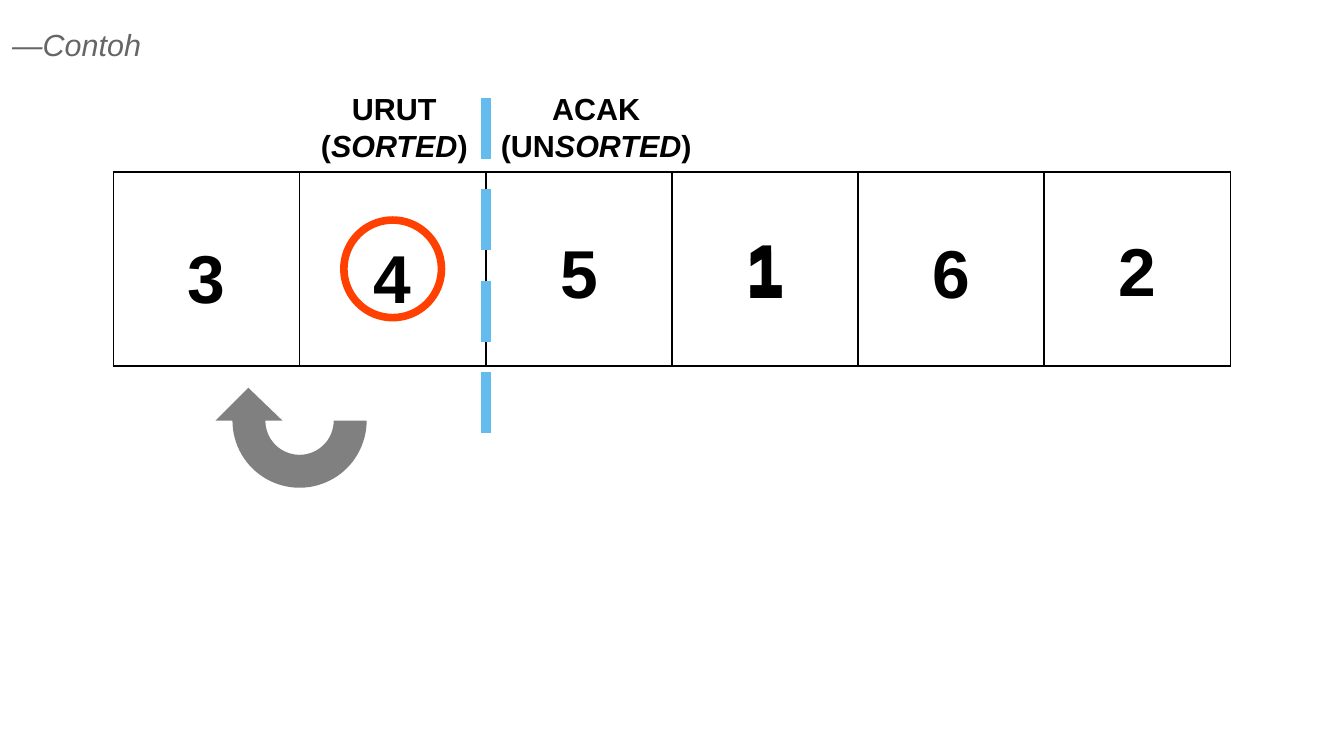
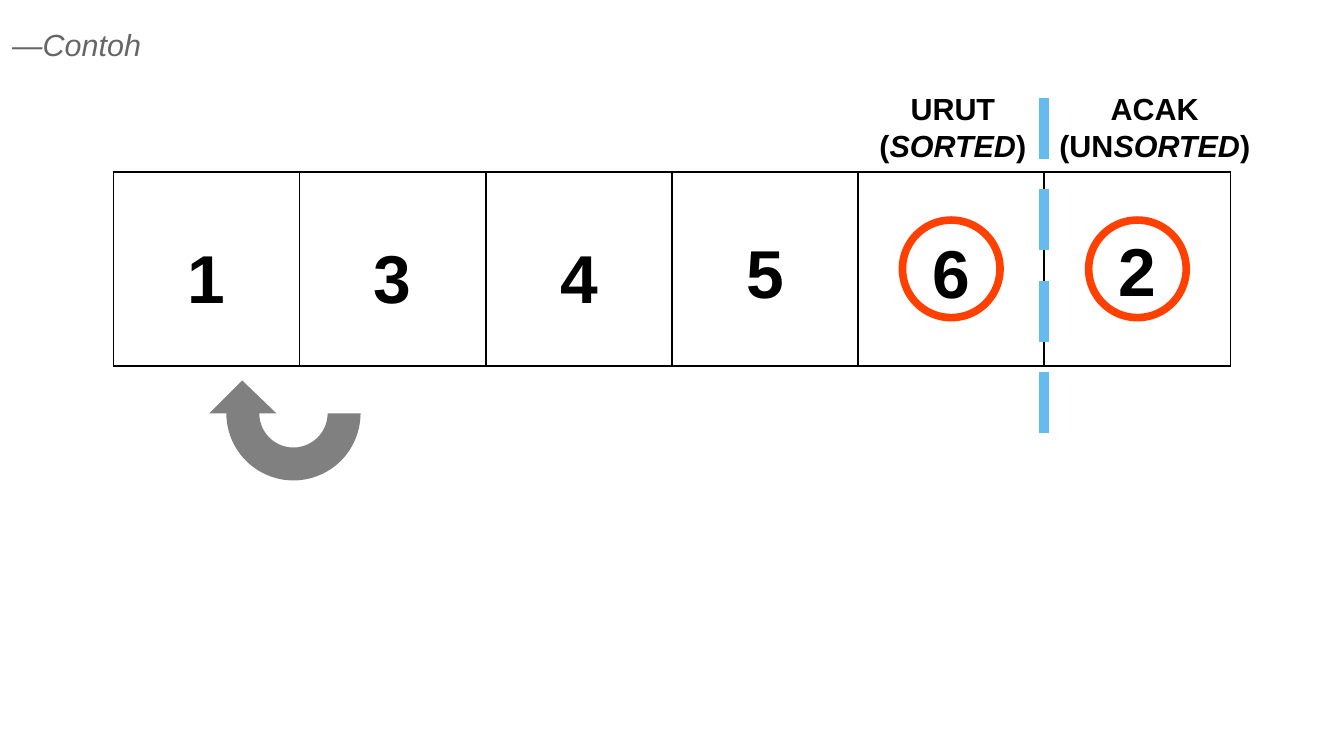
from math import cos, pi, sin

from lxml import etree
from pptx import Presentation
from pptx.dml.color import RGBColor
from pptx.enum import shapes, text
from pptx.oxml import ns
from pptx.util import Inches, Pt

FONT = "Arial"
BLACK = RGBColor(0x00, 0x00, 0x00)
TITLE_GRAY = RGBColor(0x66, 0x66, 0x66)
ARROW_GRAY = RGBColor(0x80, 0x80, 0x80)
DIVIDER_BLUE = RGBColor(0x63, 0xBB, 0xEE)
MARK_ORANGE = RGBColor(0xFF, 0x40, 0x00)

SLIDE_W, SLIDE_H = 11.02, 6.2
COLUMNS = 6
ROW_X, ROW_Y, ROW_W, ROW_H = 0.93, 1.41, 9.16, 1.59
CELL_W = ROW_W / COLUMNS
ROW_MID = ROW_Y + ROW_H / 2
LABEL_Y, LABEL_H = 0.69, 0.94


def edge(column):
    """Return the x of the left edge of a column."""
    return ROW_X + column * CELL_W


def center(column):
    return edge(column + 0.5)


def add_xml(parent, tag, **attributes):
    return etree.SubElement(parent, ns.qn(tag), attributes)


def style_run(r, size, color=BLACK, bold=False, italic=False):
    r.font.name, r.font.size = FONT, Pt(size)
    r.font.bold, r.font.italic = bold, italic
    r.font.color.rgb = color


def add_label(slide, x, y, w, h, lines, size):
    """Add bold centred lines, each a list of (words, italic) pairs."""
    sp = slide.shapes.add_textbox(Inches(x), Inches(y), Inches(w), Inches(h))
    tf = sp.text_frame
    tf.word_wrap = True
    for i, line in enumerate(lines):
        p = tf.add_paragraph() if i else tf.paragraphs[0]
        p.alignment = text.PP_ALIGN.CENTER
        for words, italic in line:
            r = p.add_run()
            r.text = words
            style_run(r, size, bold=True, italic=italic)


def set_title(slide, words):
    sp = slide.shapes.title
    sp.left, sp.top = Inches(0), Inches(0.16)
    sp.width, sp.height = Inches(3.1), Inches(0.4)
    tf = sp.text_frame
    tf.text = words
    tf.vertical_anchor = text.MSO_ANCHOR.TOP
    tf.auto_size = text.MSO_AUTO_SIZE.NONE
    p = tf.paragraphs[0]
    p.alignment = text.PP_ALIGN.LEFT
    style_run(p.runs[0], 18, TITLE_GRAY, italic=True)


def border_cell(cell):
    tc_pr = cell._tc.get_or_add_tcPr()
    for side in ("a:lnL", "a:lnR", "a:lnT", "a:lnB"):
        line = add_xml(tc_pr, side, w=str(Pt(1.13)))
        fill = add_xml(line, "a:solidFill")
        add_xml(fill, "a:srgbClr", val=str(BLACK))
    cell.fill.background()


def add_array(slide, cell_texts):
    """Add the one-row table; cell_texts maps a column to its text."""
    frame = slide.shapes.add_table(1, COLUMNS, Inches(ROW_X), Inches(ROW_Y),
                                   Inches(ROW_W), Inches(ROW_H))
    table = frame.table
    table.first_row = table.horz_banding = False
    for column in range(COLUMNS):
        table.columns[column].width = Inches(CELL_W)
        cell = table.cell(0, column)
        border_cell(cell)
        if column in cell_texts:
            cell.vertical_anchor = text.MSO_ANCHOR.MIDDLE
            p = cell.text_frame.paragraphs[0]
            p.text = cell_texts[column]
            p.alignment = text.PP_ALIGN.CENTER
            style_run(p.runs[0], 40, bold=True)


def add_divider(slide, column):
    """Part sorted from unsorted cells with a dashed line and two labels."""
    x = edge(column)
    line = slide.shapes.add_connector(shapes.MSO_CONNECTOR.STRAIGHT,
                                      Inches(x), Inches(0.8),
                                      Inches(x), Inches(3.76))
    line.line.color.rgb = DIVIDER_BLUE
    line.line.width = Pt(6)
    dashes = add_xml(line.line._get_or_add_ln(), "a:custDash")
    add_xml(dashes, "a:ds", d="600000", sp="300000")
    add_xml(line._element.spPr, "a:effectLst")
    for left, width, name, prefix in ((x - 1.58, 1.66, "URUT", "("),
                                      (x - 0.04, 1.89, "ACAK", "(UN")):
        lines = [[(name, False)],
                 [(prefix, False), ("SORTED", True), (")", False)]]
        add_label(slide, left, LABEL_Y, width, LABEL_H, lines, 18)


def add_digits(slide, digits, drops):
    """Put one digit in each column, lowered by its drop."""
    w, h = 0.8, 0.72
    for column, (digit, drop) in enumerate(zip(digits, drops)):
        add_label(slide, center(column) - w / 2, ROW_MID - h / 2 + drop,
                  w, h, [[(digit, False)]], 40)


def add_swap_arrow(slide, cx, cy):
    """Draw a half ring below (cx, cy) with an arrowhead on its left end."""
    outer, inner, steps = 0.55, 0.28, 48
    angles = [pi * i / steps for i in range(steps + 1)]
    points = [(-inner * cos(a), inner * sin(a)) for a in angles]
    points += [(outer * cos(a), outer * sin(a)) for a in angles]
    points += [(-0.69, 0), (-0.42, -0.27), (-0.14, 0)]
    outline = [(Inches(cx + x), Inches(cy + y)) for x, y in points]
    builder = slide.shapes.build_freeform(*outline[0])
    builder.add_line_segments(outline[1:], close=True)
    sp = builder.convert_to_shape()
    sp.shadow.inherit = False
    sp.fill.solid()
    sp.fill.fore_color.rgb = ARROW_GRAY
    sp.line.fill.background()


def add_mark(slide, column):
    size = 0.8
    sp = slide.shapes.add_shape(shapes.MSO_SHAPE.OVAL,
                                Inches(center(column) - size / 2),
                                Inches(ROW_MID - size / 2),
                                Inches(size), Inches(size))
    sp.shadow.inherit = False
    sp.fill.background()
    sp.line.color.rgb = MARK_ORANGE
    sp.line.width = Pt(4.5)


def add_step(prs, digits, drops, sorted_count, marked, arrow_shift,
             cell_texts):
    """Add a slide for one step of the insertion sort."""
    slide = prs.slides.add_slide(prs.slide_layouts[5])
    set_title(slide, "—Contoh")
    add_array(slide, cell_texts)
    add_divider(slide, sorted_count)
    add_digits(slide, digits, drops)
    dx, dy = arrow_shift
    add_swap_arrow(slide, edge(1) + dx, ROW_Y + ROW_H + dy)
    for column in marked:
        add_mark(slide, column)


def main():
    prs = Presentation()
    prs.slide_width, prs.slide_height = Inches(SLIDE_W), Inches(SLIDE_H)
    add_step(prs, "345162", (0.04, 0.04, 0, 0, 0, -0.02), sorted_count=2,
             marked=[1], arrow_shift=(0, 0.45), cell_texts={3: "1"})
    add_step(prs, "134562", (0.04, 0.04, 0.04, 0, 0, -0.02), sorted_count=5,
             marked=[4, 5], arrow_shift=(-0.05, 0.39), cell_texts={})
    prs.save("out.pptx")


if __name__ == "__main__":
    main()
